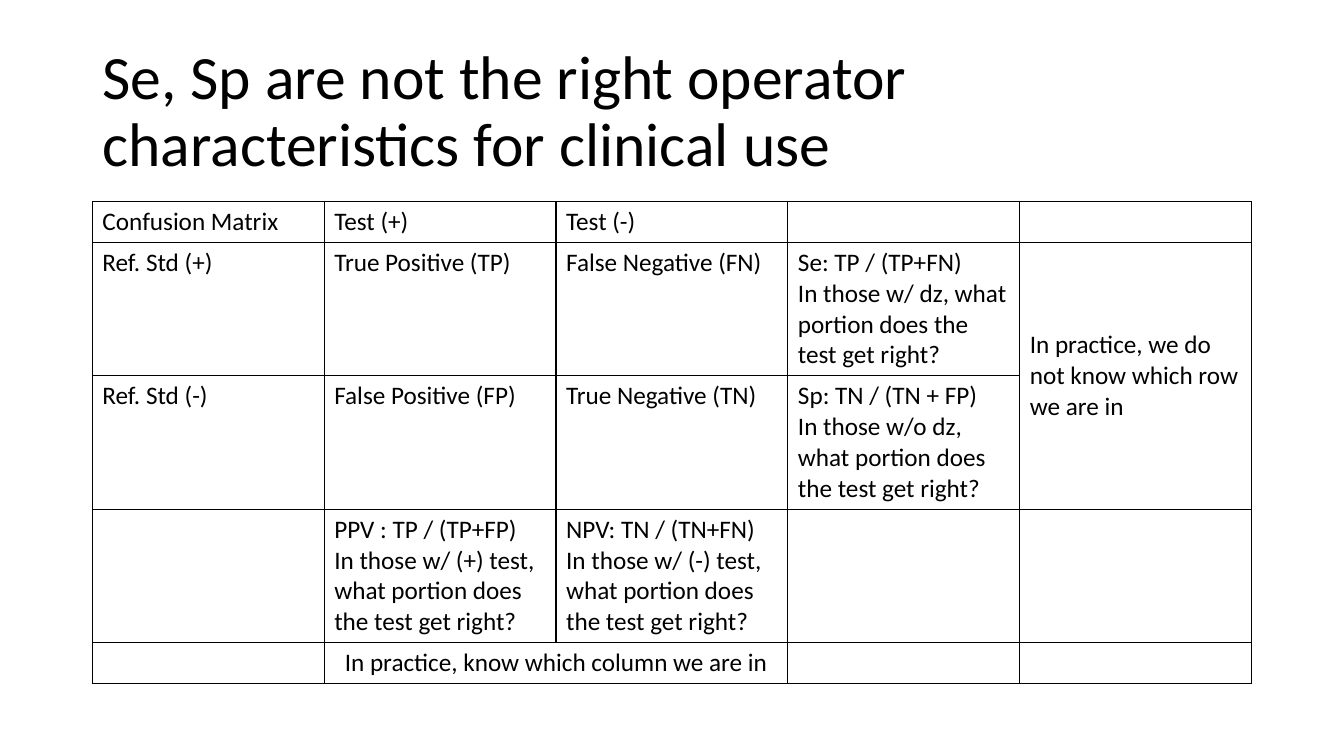
from dataclasses import dataclass

from lxml.etree import SubElement
from pptx import Presentation
from pptx.dml.color import RGBColor
from pptx.enum.text import MSO_ANCHOR, MSO_AUTO_SIZE, PP_ALIGN
from pptx.oxml.ns import qn
from pptx.util import Pt

EMU_PER_PX = 9525


@dataclass(frozen=True)
class Theme:
    """Colours, type sizes and line widths of the deck."""

    font: str = "Calibri"
    ink: str = "000000"
    title_size: int = 44
    body_size: int = 18
    border: int = 1


@dataclass(frozen=True)
class Box:
    """A rectangle in px."""

    left: int
    top: int
    width: int
    height: int

    def emu(self):
        """Return the four lengths in EMU."""
        return [side * EMU_PER_PX for side in (self.left, self.top, self.width, self.height)]


THEME = Theme()
TITLE = "Se, Sp are not the right operator characteristics for clinical use"
MATRIX = [
    ["Confusion Matrix", "Test (+)", "Test (-)", "", ""],
    [
        "Ref. Std (+)",
        "True Positive (TP)",
        "False Negative (FN)",
        "Se: TP / (TP+FN)\nIn those w/ dz, what portion does the test get right?",
        "In practice, we do not know which row we are in",
    ],
    [
        "Ref. Std (-)",
        "False Positive (FP)",
        "True Negative (TN)",
        "Sp: TN / (TN + FP)\nIn those w/o dz, what portion does the test get right?",
        "",
    ],
    [
        "",
        "PPV : TP / (TP+FP)\nIn those w/ (+) test, what portion does the test get right?",
        "NPV: TN / (TN+FN)\nIn those w/ (-) test, what portion does the test get right?",
        "",
        "",
    ],
    ["", "In practice, know which column we are in", "", "", ""],
]
SHORT_ROW, TALL_ROW = 39, 127
ROW_HEIGHTS = [SHORT_ROW, TALL_ROW, TALL_ROW, TALL_ROW, SHORT_ROW]


def format_text(frame, size):
    """Apply the theme font and colour to every run of a text frame."""
    for paragraph in frame.paragraphs:
        for span in paragraph.runs:
            span.font.name = THEME.font
            span.font.size = Pt(size)
            span.font.color.rgb = RGBColor.from_string(THEME.ink)


def add_title(page, box):
    """Place the slide title in its box."""
    title = page.shapes.title
    title.left, title.top, title.width, title.height = box.emu()
    frame = title.text_frame
    frame.text = TITLE
    frame.word_wrap = True
    frame.auto_size = MSO_AUTO_SIZE.NONE
    frame.vertical_anchor = MSO_ANCHOR.MIDDLE
    frame.paragraphs[0].alignment = PP_ALIGN.LEFT
    frame.paragraphs[0].line_spacing = 0.9
    format_text(frame, THEME.title_size)


def outline_cell(cell):
    """Draw a border on all four sides of a cell and clear its fill."""
    properties = cell._tc.get_or_add_tcPr()
    for side in ("a:lnL", "a:lnR", "a:lnT", "a:lnB"):
        line = SubElement(properties, qn(side), w=str(Pt(THEME.border)))
        fill = SubElement(line, qn("a:solidFill"))
        SubElement(fill, qn("a:srgbClr"), val=THEME.ink)
    cell.fill.background()


def add_matrix(page, box):
    """Place the confusion matrix table in its box."""
    table = page.shapes.add_table(len(MATRIX), len(MATRIX[0]), *box.emu()).table
    table.first_row = False
    table.horz_banding = False
    for row, height in zip(table.rows, ROW_HEIGHTS):
        row.height = height * EMU_PER_PX
    for row, texts in zip(table.rows, MATRIX):
        for cell, text in zip(row.cells, texts):
            outline_cell(cell)
            cell.text_frame.text = text
            format_text(cell.text_frame, THEME.body_size)
    row_note, column_note = table.cell(1, 4), table.cell(4, 1)
    row_note.merge(table.cell(2, 4))
    row_note.vertical_anchor = MSO_ANCHOR.MIDDLE
    column_note.merge(table.cell(4, 2))
    column_note.text_frame.paragraphs[0].alignment = PP_ALIGN.CENTER


def main():
    """Build the deck and save it."""
    deck = Presentation()
    deck.slide_width, deck.slide_height = 1280 * EMU_PER_PX, 720 * EMU_PER_PX
    page = deck.slides.add_slide(deck.slide_layouts[5])
    add_title(page, Box(88, 38, 1104, 139))
    add_matrix(page, Box(88, 192, 1104, sum(ROW_HEIGHTS)))
    deck.save("out.pptx")


if __name__ == "__main__":
    main()
